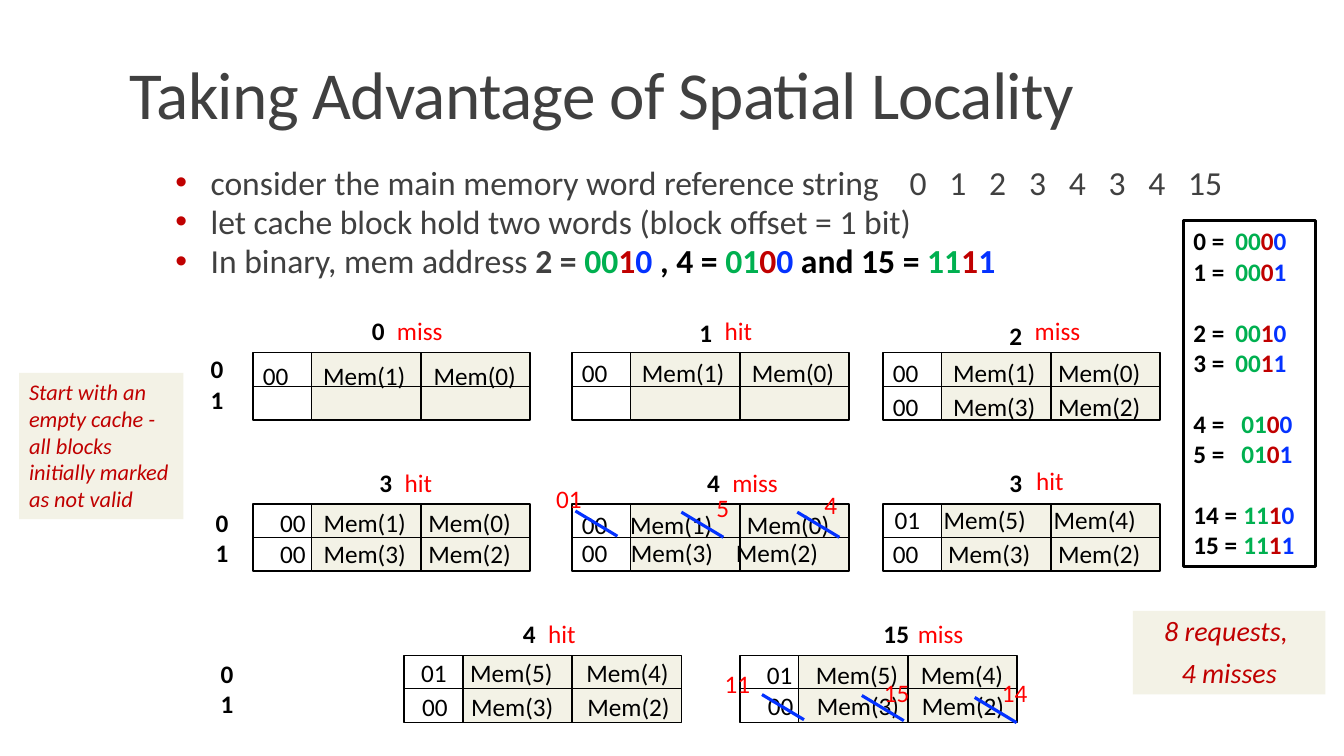
from pptx import Presentation
from pptx.dml.color import RGBColor
from pptx.enum.shapes import MSO_CONNECTOR, MSO_SHAPE
from pptx.enum.text import MSO_ANCHOR, PP_ALIGN
from pptx.oxml.ns import qn
from pptx.util import Pt
from lxml import etree

RECT = MSO_SHAPE.RECTANGLE
STRAIGHT = MSO_CONNECTOR.STRAIGHT
LEFT, CENTER = PP_ALIGN.LEFT, PP_ALIGN.CENTER
TOP, BOTTOM = MSO_ANCHOR.TOP, MSO_ANCHOR.BOTTOM
BLACK = RGBColor(0x00, 0x00, 0x00)
WHITE = RGBColor(0xFF, 0xFF, 0xFF)
GRAY = RGBColor(0x40, 0x40, 0x40)
CREAM = RGBColor(0xF3, 0xF2, 0xE6)
GREEN = RGBColor(0x00, 0xB0, 0x50)
DARK_RED = RGBColor(0xC0, 0x00, 0x00)
RED = RGBColor(0xFF, 0x00, 0x00)
BLUE = RGBColor(0x04, 0x32, 0xFF)

prs = Presentation()
prs.slide_width, prs.slide_height = Pt(960), Pt(540)
s = prs.slides.add_slide(prs.slide_layouts[6])


def add_text(x, y, w, h, paragraphs, size=18, bold=False, italic=False,
             fill=None, border=None, anchor=TOP, align=LEFT, tabs=()):
    sp = s.shapes.add_shape(RECT, Pt(x), Pt(y), Pt(w), Pt(h))
    sp.shadow.inherit = False
    if fill is None:
        sp.fill.background()
    else:
        sp.fill.solid()
        sp.fill.fore_color.rgb = fill
    if border is None:
        sp.line.fill.background()
    else:
        sp.line.color.rgb = BLACK
        sp.line.width = Pt(border)
    tf = sp.text_frame
    tf.word_wrap = True
    tf.vertical_anchor = anchor
    for i, runs in enumerate(paragraphs):
        p = tf.add_paragraph() if i else tf.paragraphs[0]
        p.alignment = align
        if tabs:
            tab_list = etree.SubElement(p._p.get_or_add_pPr(), qn("a:tabLst"))
            for stop in tabs:
                etree.SubElement(tab_list, qn("a:tab"), pos=str(int(Pt(stop))), algn="l")
        for text, color, *heavy in runs:
            r = p.add_run()
            r.text = text
            r.font.name = "Calibri"
            r.font.size = Pt(size)
            r.font.bold = heavy[0] if heavy else bold
            r.font.italic = italic
            r.font.color.rgb = color
    return tf


def add_line(x1, y1, x2, y2, color, width):
    line = s.shapes.add_connector(STRAIGHT, Pt(x1), Pt(y1), Pt(x2), Pt(y2))
    line.line.color.rgb = color
    line.line.width = Pt(width)
    etree.SubElement(line._element.spPr, qn("a:effectLst"))


tf = add_text(85.7, 17.3, 792, 81.4, [[("Taking Advantage of Spatial Locality", GRAY)]],
              size=48, anchor=BOTTOM)
tf.paragraphs[0].line_spacing = 0.85
tf.paragraphs[0].runs[0].font._element.set("spc", "-50")

references = [("consider the main memory word reference string", GRAY)]
for word in ["0", "1", "2", "3", "4", "3", "4", "15"]:
    references += [(" ", GRAY), (word, GRAY)]
binary = [("In binary, mem address ", GRAY), ("2 = ", GRAY, True),
          ("00", GREEN, True), ("1", DARK_RED, True), ("0 ", BLUE, True),
          (", 4 = ", BLACK, True),
          ("01", GREEN, True), ("0", DARK_RED, True), ("0", BLUE, True),
          (" and 15 = ", BLACK, True),
          ("11", GREEN, True), ("1", DARK_RED, True), ("1", BLUE, True)]
tf = add_text(114.5, 115.2, 792, 90.7, [
    references, [("let cache block hold two words (block offset = 1 bit)", GRAY)], binary], size=24)
tf.margin_left = tf.margin_right = 0
for p in tf.paragraphs:
    pPr = p._p.get_or_add_pPr()
    pPr.set("marL", str(int(Pt(36))))
    pPr.set("indent", str(int(Pt(-25.2))))
    bullet_color = etree.SubElement(pPr, qn("a:buClr"))
    etree.SubElement(bullet_color, qn("a:srgbClr"), val=str(DARK_RED))
    etree.SubElement(pPr, qn("a:buFont"), typeface="Arial")
    etree.SubElement(pPr, qn("a:buChar"), char="•")
    p.line_spacing = 0.9
    p.space_after = Pt(2)
for i, r in enumerate(tf.paragraphs[0].runs[1::2]):
    r.font._element.set("spc", "1085" if i else "1630")

caches = [(180.7, 252), (408.5, 252), (630.7, 252),
          (180.7, 360), (408.5, 360), (630.7, 360),
          (288.7, 468), (528.5, 468)]
for x, y in caches:
    for dx, w, fill in [(42, 78, CREAM), (120, 78, CREAM), (0, 42, WHITE)]:
        add_text(x + dx, y, w, 48, [], fill=fill, border=1)
        add_line(x + dx, y + 24, x + dx + w, y + 24, BLACK, 1)

requests = [("0", 258.5, 222, "miss", 276.5, 222), ("1", 492.5, 223, "hit", 510.5, 222),
            ("2", 714, 225.5, "miss", 732, 222), ("3", 264, 330, "hit", 282, 330),
            ("4", 498, 330, "miss", 516, 330), ("3", 714, 330, "hit", 733, 329),
            ("4", 366.5, 438, "hit", 384.5, 438), ("15", 624, 438, "miss", 648.5, 438)]
for word, x, y, result, result_x, result_y in requests:
    add_text(x, y, 16 + 9 * len(word), 29, [[(word, BLACK)]], bold=True)
    add_text(result_x, result_y, 36 if result == "hit" else 50, 29, [[(result, RED)]])

rows = [(180.7, 253.5, "00", 1, 0, 43, 122),
        (408.5, 252, "00", 1, 0, 43, 121.5),
        (630.7, 276, "00", 3, 2, 43, 118),
        (630.7, 252, "00", 1, 0, 43, 118),
        (193, 381, "00", 3, 2, 31, 106),
        (193, 358.5, "00", 1, 0, 31, 106),
        (408.5, 380, "00", 3, 2, 35, 110),
        (408.5, 360, "00", 1, 0, 34.5, 118),
        (630.7, 381, "00", 3, 2, 39.5, 118),
        (632, 356.5, "01", 5, 4, 35, 113.5),
        (294.5, 490.5, "00", 3, 2, 35, 118),
        (293.8, 466, "01", 5, 4, 35, 118),
        (541.4, 489.5, "00", 3, 2, 35, 110),
        (540.7, 467.5, "01", 5, 4, 35, 110)]
for x, y, tag, high, low, *tabs in rows:
    add_text(x, y, 200, 29, [[(f"{tag}\tMem({high})\tMem({low})", BLACK)]], tabs=tabs)

replacements = [("01", 390.2, 342, 411, 365), ("5", 504.7, 347.8, 486.7, 365.8),
                ("4", 581.8, 346.3, 569.5, 365.8), ("11", 510.5, 473.8, 544.3, 496.1),
                ("15", 624.2, 480.2, 615.6, 496.8), ("14", 708.5, 480.2, 696.2, 498.2)]
for value, x, y, strike_x, strike_y in replacements:
    add_line(strike_x, strike_y, strike_x + 30, strike_y + 18, BLUE, 2.25)
    add_text(x, y, 16 + 9 * len(value), 29, [[(value, RED)]])

tf = add_text(809.3, 436.3, 137.5, 59.8,
              [[("8 requests, ", DARK_RED)], [("4 misses", DARK_RED)]],
              size=20, italic=True, fill=CREAM, align=CENTER)
tf.margin_left = tf.margin_right = Pt(5)
tf.margin_top = tf.margin_bottom = Pt(2.2)
tf.paragraphs[1].space_before = Pt(6)

add_text(13.7, 266.4, 117.4, 104.4,
         [[("Start with an empty cache - all blocks initially marked as not valid", DARK_RED)]],
         size=16, italic=True, fill=CREAM)

for x, y in [(143.3, 249.1), (146.9, 358.6), (150.5, 466.6)]:
    add_text(x, y, 36.7, 51, [[("0", BLACK)], [("1", BLACK)]], bold=True)

addresses = [(0, 30), (1, 30), (2, 30), (3, 30), (4, 34.3), (5, 34.3), (14, 35.7), (15, 35.7)]
table = []
for n, stop in addresses:
    bits = f"{n:04b}"
    table.append([(f"{n} =\t", BLACK), (bits[:2], GREEN), (bits[2], DARK_RED), (bits[3], BLUE)])
tf = add_text(845.3, 157.7, 94.3, 247, table, bold=True, border=2.25)
for p, (n, stop) in zip(tf.paragraphs, addresses):
    tab_list = etree.SubElement(p._p.get_or_add_pPr(), qn("a:tabLst"))
    etree.SubElement(tab_list, qn("a:tab"), pos=str(int(Pt(stop))), algn="l")
    if n in (2, 4, 14):
        p.space_before = Pt(22)

prs.save("out.pptx")
